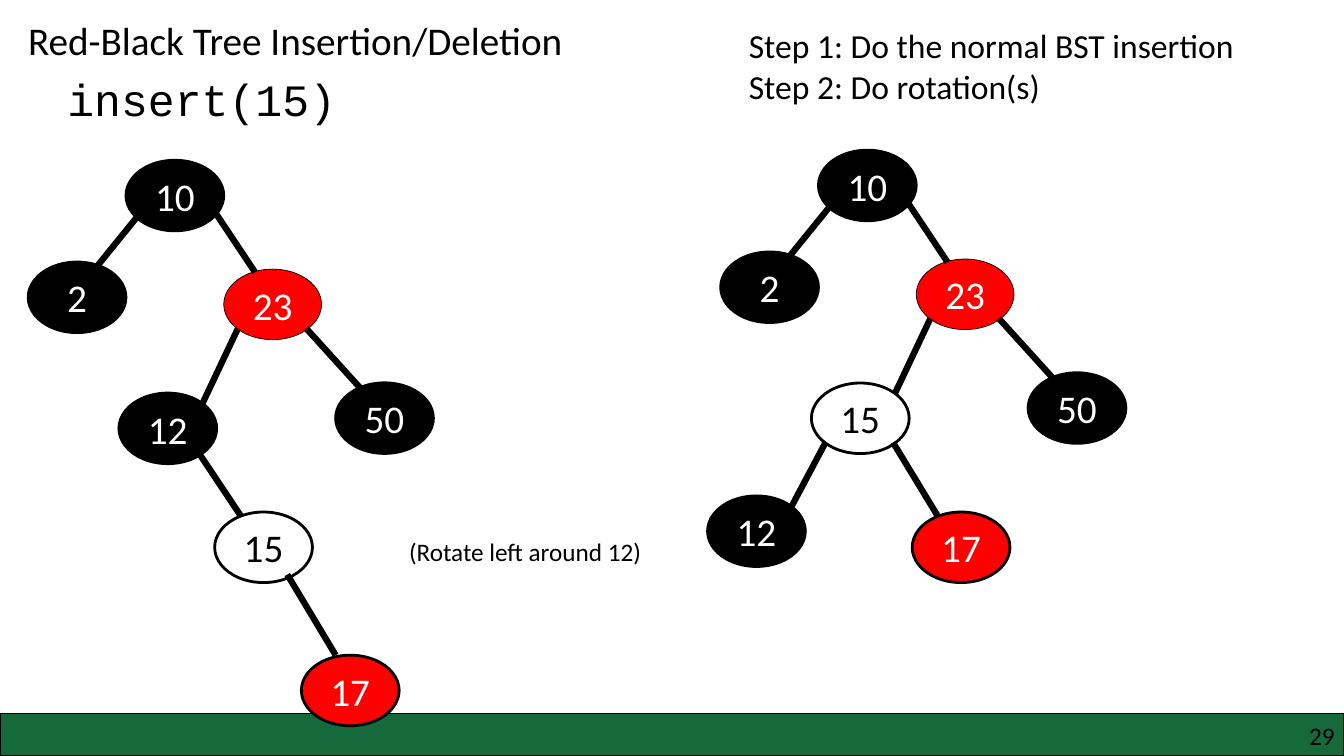
"""Build a slide showing a red-black tree insertion before and after a rotation."""
import dataclasses

import pptx
import pptx.dml.color
import pptx.enum.shapes
import pptx.enum.text
import pptx.oxml
import pptx.oxml.ns
import pptx.util

Pt = pptx.util.Pt
ALIGN = pptx.enum.text.PP_ALIGN
SHAPE = pptx.enum.shapes.MSO_SHAPE


@dataclasses.dataclass(frozen=True)
class Theme:
    """Colours, fonts and sizes of the slide."""
    black: str = "000000"
    white: str = "FFFFFF"
    red: str = "FF0000"
    green: str = "15693B"
    body_font: str = "Calibri"
    code_font: str = "Courier New"
    code_size: int = 32
    title_size: int = 28
    step_size: int = 24
    note_size: int = 18
    edge_width: float = 4.5
    outline_width: float = 2
    thin_outline: float = 0.5
    bar_outline: float = 1


THEME = Theme()
NODE_SIZE = (69.84, 50.4)
NODE_STYLES = {
    "black": (THEME.black, THEME.white, THEME.outline_width),
    "red": (THEME.red, THEME.white, THEME.outline_width),
    "thin red": (THEME.red, THEME.white, THEME.thin_outline),
    "white": (THEME.white, THEME.black, THEME.outline_width),
}
SHARED_NODES = [
    ("10", "black", 69.84, 0),
    ("23", "thin red", 139.68, 77.76),
    ("50", "black", 219.6, 159),
]
SHARED_EDGES = [
    (78.48, 39.6, 44.64, 81.36),
    (134.64, 38.88, 162, 79.92),
    (149.76, 120.24, 124.56, 173.52),
    (198.72, 120.24, 240.48, 166.32),
]
SHARED_LEAF = ("2", "black", 0, 72.72)
BEFORE = {
    "nodes": [("12", "black", 64.8, 166.32), ("15", "white", 133.2, 251.28)],
    "edges": [(121.68, 208.8, 151.92, 254.16), (185.04, 295.92, 219.6, 353.52)],
    "leaf": ("17", "red", 195.12, 353.52),
}
AFTER = {
    "nodes": [("15", "white", 64.8, 166.32), ("12", "black", -9.36, 246.96)],
    "edges": [(74.88, 208.8, 50.4, 254.88), (123.12, 208.8, 157.68, 265.68)],
    "leaf": ("17", "red", 136.8, 258.48),
}


def rgb(code):
    """Turn a hex code into a colour."""
    return pptx.dml.color.RGBColor.from_string(code)


def style_para(para, size, colour=THEME.black, font=THEME.body_font, align=ALIGN.LEFT):
    """Set the font and alignment of a paragraph."""
    para.alignment = align
    para.font.size = Pt(size)
    para.font.name = font
    para.font.color.rgb = rgb(colour)


def add_shape(page, kind, box, fill, outline):
    """Add a flat filled shape with a black outline."""
    shape = page.shapes.add_shape(kind, *map(Pt, box))
    shape.shadow.inherit = False
    shape.fill.solid()
    shape.fill.fore_color.rgb = rgb(fill)
    shape.line.color.rgb = rgb(THEME.black)
    shape.line.width = Pt(outline)
    return shape


def add_label(page, box, lines, size, font=THEME.body_font):
    """Add an unwrapped text box with one paragraph per line."""
    frame = page.shapes.add_textbox(*map(Pt, box)).text_frame
    frame.word_wrap = False
    frame.auto_size = pptx.enum.text.MSO_AUTO_SIZE.SHAPE_TO_FIT_TEXT
    frame.text = "\n".join(lines)
    for para in frame.paragraphs:
        style_para(para, size, font=font)


def add_node(page, origin, node):
    """Add a tree node placed relative to the tree's origin."""
    key, style, left, top = node
    fill, colour, outline = NODE_STYLES[style]
    box = (origin[0] + left, origin[1] + top, *NODE_SIZE)
    frame = add_shape(page, SHAPE.OVAL, box, fill, outline).text_frame
    frame.text = key
    frame.vertical_anchor = pptx.enum.text.MSO_ANCHOR.MIDDLE
    style_para(frame.paragraphs[0], THEME.title_size, colour, align=ALIGN.CENTER)


def add_edge(page, origin, edge):
    """Add a tree edge placed relative to the tree's origin."""
    x, y = origin
    start_x, start_y, end_x, end_y = edge
    line = page.shapes.add_connector(
        pptx.enum.shapes.MSO_CONNECTOR.STRAIGHT,
        Pt(x + start_x), Pt(y + start_y), Pt(x + end_x), Pt(y + end_y))
    line.line.color.rgb = rgb(THEME.black)
    line.line.width = Pt(THEME.edge_width)
    properties = line._element.spPr
    properties.append(pptx.oxml.parse_xml(
        "<a:effectLst %s/>" % pptx.oxml.ns.nsdecls("a")))


def add_tree(page, origin, tree):
    """Add a whole tree, with its edges under the outermost leaves."""
    for node in SHARED_NODES + tree["nodes"]:
        add_node(page, origin, node)
    for edge in SHARED_EDGES + tree["edges"]:
        add_edge(page, origin, edge)
    for leaf in (SHARED_LEAF, tree["leaf"]):
        add_node(page, origin, leaf)


def add_footer(page, box, number):
    """Add the footer bar with the page number at its right."""
    left, top, width, height = box
    add_shape(page, SHAPE.RECTANGLE, box, THEME.green, THEME.bar_outline)
    number_box = (left + width - 228, top + 5, 221.3, 21.6)
    frame = page.shapes.add_textbox(*map(Pt, number_box)).text_frame
    frame.word_wrap = True
    frame.margin_left = frame.margin_right = Pt(0)
    frame.margin_top = frame.margin_bottom = Pt(0)
    frame.text = number
    style_para(frame.paragraphs[0], THEME.note_size, align=ALIGN.RIGHT)


def add_header(page, box):
    """Add the title, the operation and the steps."""
    left, top = box[:2]
    add_label(page, (left + 13, top + 8, 400.3, 41),
              ["Red-Black Tree Insertion/Deletion"], THEME.title_size)
    add_label(page, (left + 41, top + 47.5, 208.8, 46),
              ["insert(15)"], THEME.code_size, THEME.code_font)
    add_label(page, (left + 527.8, top + 14.4, 364.3, 65.5),
              ["Step 1: Do the normal BST insertion", "Step 2: Do rotation(s)"],
              THEME.step_size)


def main():
    """Build and save the deck."""
    deck = pptx.Presentation()
    deck.slide_width, deck.slide_height = Pt(960), Pt(540)
    page = deck.slides.add_slide(deck.slide_layouts[6])
    add_footer(page, (0, 509.76, 960, 30.24), "29")
    add_header(page, (0, 0, 960, 100))
    add_tree(page, (20.16, 114.48), BEFORE)
    add_tree(page, (514.8, 107.28), AFTER)
    add_label(page, (285.1, 379.4, 182.9, 28.8),
              ["(Rotate left around 12)"], THEME.note_size)
    deck.save("out.pptx")


if __name__ == "__main__":
    main()
